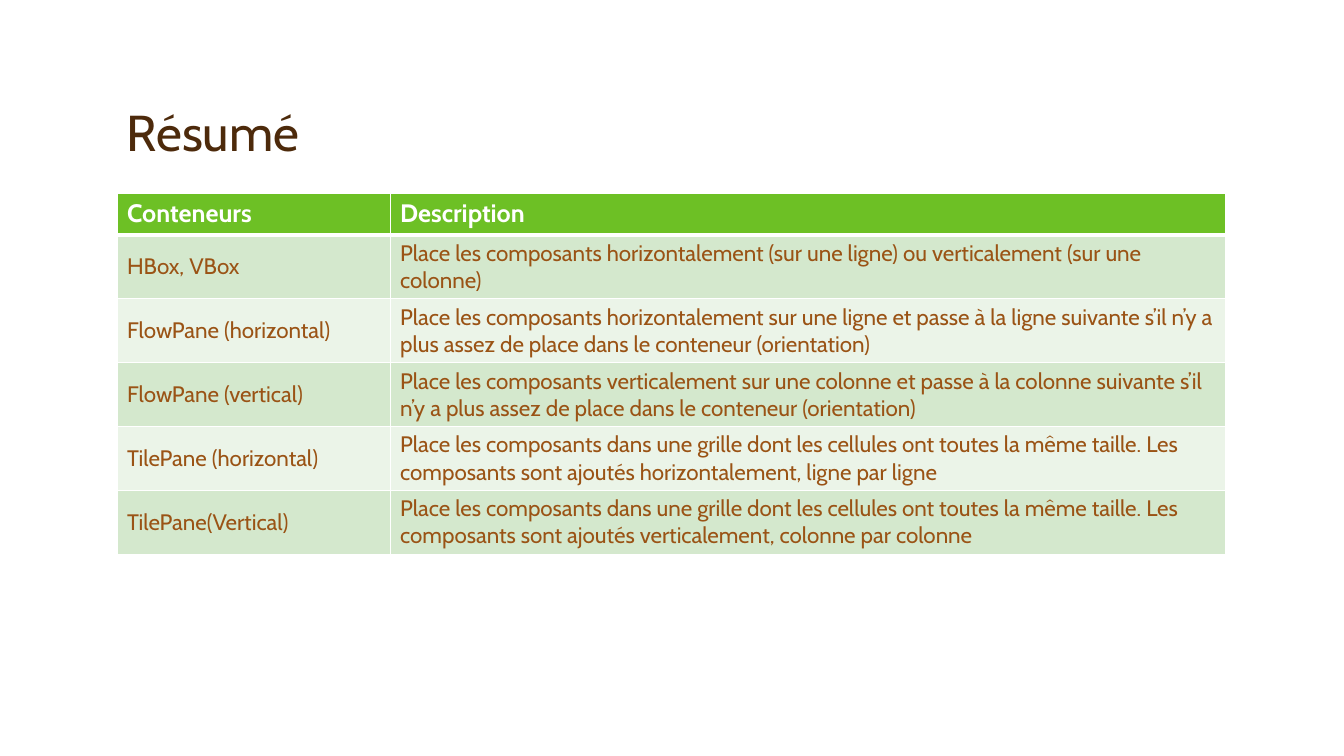
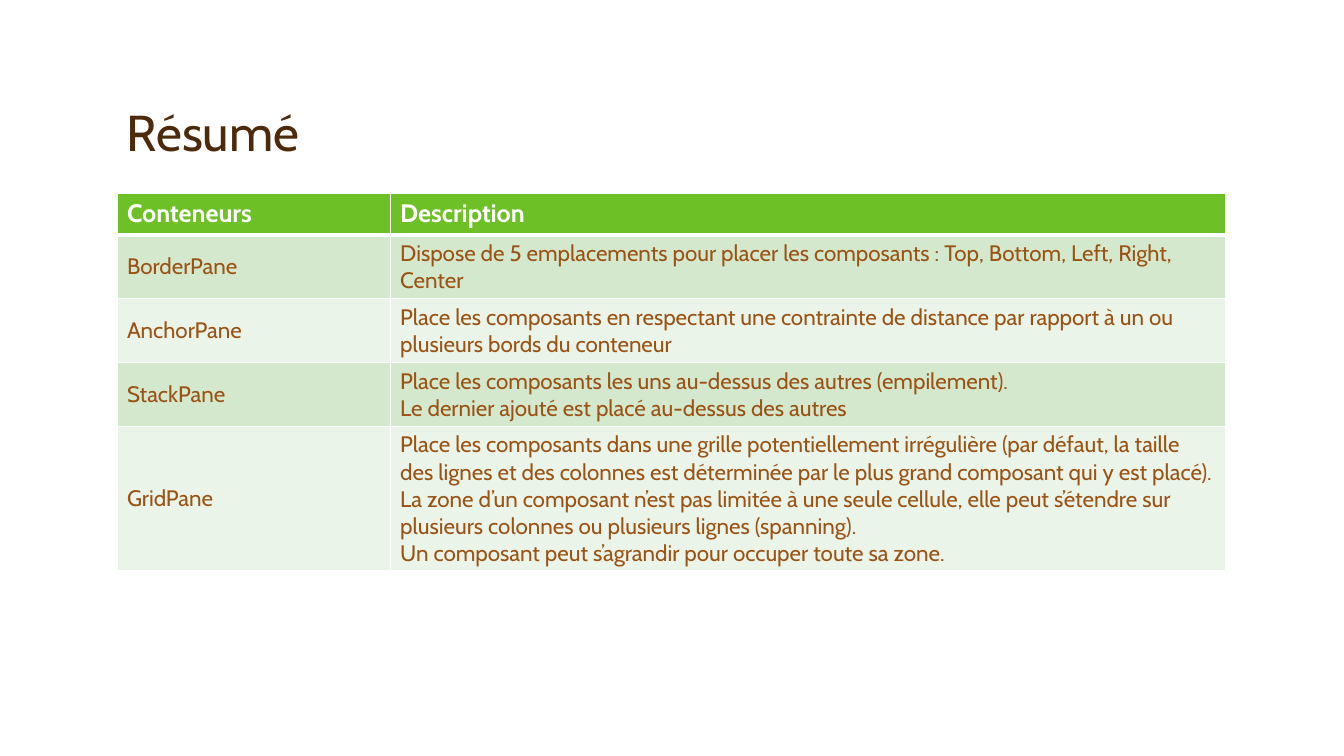
import dataclasses

import pptx
import pptx.dml.color
import pptx.enum.text
import pptx.oxml
import pptx.oxml.ns
import pptx.util

Inches = pptx.util.Inches
ANCHOR = pptx.enum.text.MSO_ANCHOR


@dataclasses.dataclass(frozen=True)
class Theme:
    font: str = "Cabin"
    title_size: int = 36
    header_size: int = 18
    body_size: int = 16
    title_color: str = "4D2A0B"
    body_color: str = "9A5315"
    white: str = "FFFFFF"
    header_fill: str = "6DC025"
    band_fills: tuple = ("D4E8CD", "EBF4E8")
    rule: int = 1
    header_rule: int = 3


THEME = Theme()
TITLE_BOX = (1.16, 0.33, 11, 1.33)
TABLE_BOX = (1.16, 1.92, 11)
COLUMN_WIDTHS = (2.71, 8.29)
ROW_HEIGHT = 0.41

HEADER = ("Conteneurs", "Description")
SUMMARIES = [
    [
        ("HBox, VBox",
         "Place les composants horizontalement (sur une ligne) ou verticalement (sur une colonne)"),
        ("FlowPane (horizontal)",
         "Place les composants horizontalement sur une ligne et passe à la ligne suivante "
         "s’il n’y a plus assez de place dans le conteneur (orientation)"),
        ("FlowPane (vertical)",
         "Place les composants verticalement sur une colonne et passe à la colonne suivante "
         "s’il n’y a plus assez de place dans le conteneur (orientation)"),
        ("TilePane (horizontal)",
         "Place les composants dans une grille dont les cellules ont toutes la même taille. "
         "Les composants sont ajoutés horizontalement, ligne par ligne"),
        ("TilePane(Vertical)",
         "Place les composants dans une grille dont les cellules ont toutes la même taille. "
         "Les composants sont ajoutés verticalement, colonne par colonne"),
    ],
    [
        ("BorderPane",
         "Dispose de 5 emplacements pour placer les composants : Top, Bottom, Left, Right, Center"),
        ("AnchorPane",
         "Place les composants en respectant une contrainte de distance par rapport à un ou "
         "plusieurs bords du conteneur"),
        ("StackPane",
         "Place les composants les uns au-dessus des autres (empilement).\n"
         "Le dernier ajouté est placé au-dessus des autres"),
        ("GridPane",
         "Place les composants dans une grille potentiellement irrégulière (par défaut, la taille "
         "des lignes et des colonnes est déterminée par le plus grand composant qui y est placé).\n"
         "La zone d’un composant n’est pas limitée à une seule cellule, elle peut s’étendre sur "
         "plusieurs colonnes ou plusieurs lignes (spanning).\n"
         "Un composant peut s’agrandir pour occuper toute sa zone."),
    ],
]


def rgb(color):
    return pptx.dml.color.RGBColor.from_string(color)


def write(frame, text, size, color, bold=False, line_spacing=None):
    """Fill a text frame, one paragraph per line of text."""
    frame.text = text
    for paragraph in frame.paragraphs:
        paragraph.line_spacing = line_spacing
        for run in paragraph.runs:
            run.font.name = THEME.font
            run.font.size = pptx.util.Pt(size)
            run.font.bold = bold
            run.font.color.rgb = rgb(color)


def set_borders(cell, top, bottom):
    """Draw white cell borders; must precede the fill in the cell's XML."""
    properties = cell._tc.get_or_add_tcPr()
    widths = {"lnL": THEME.rule, "lnR": THEME.rule, "lnT": top, "lnB": bottom}
    for side, width in widths.items():
        properties.append(pptx.oxml.parse_xml(
            f'<a:{side} {pptx.oxml.ns.nsdecls("a")} w="{pptx.util.Pt(width)}">'
            f'<a:solidFill><a:srgbClr val="{THEME.white}"/></a:solidFill></a:{side}>'))


def add_title(slide, text, box):
    frame = slide.shapes.add_textbox(*map(Inches, box)).text_frame
    frame.word_wrap = True
    frame.vertical_anchor = ANCHOR.BOTTOM
    write(frame, text, size=THEME.title_size, color=THEME.title_color, line_spacing=0.9)


def format_cell(cell, text, row):
    is_header = row == 0
    set_borders(cell,
                top=THEME.header_rule if row == 1 else THEME.rule,
                bottom=THEME.header_rule if is_header else THEME.rule)
    cell.fill.solid()
    if is_header:
        cell.fill.fore_color.rgb = rgb(THEME.header_fill)
        write(cell.text_frame, text, size=THEME.header_size, color=THEME.white, bold=True)
    else:
        cell.fill.fore_color.rgb = rgb(THEME.band_fills[(row - 1) % 2])
        cell.vertical_anchor = ANCHOR.MIDDLE
        write(cell.text_frame, text, size=THEME.body_size, color=THEME.body_color)


def add_container_table(slide, containers, box):
    """Add the table; its rows grow with their text."""
    rows = [HEADER, *containers]
    left, top, width = map(Inches, box)
    table = slide.shapes.add_table(len(rows), len(HEADER), left, top, width,
                                   Inches(ROW_HEIGHT * len(rows))).table
    for column, column_width in zip(table.columns, COLUMN_WIDTHS):
        column.width = Inches(column_width)
    for r, texts in enumerate(rows):
        table.rows[r].height = Inches(ROW_HEIGHT)
        for c, text in enumerate(texts):
            format_cell(table.cell(r, c), text, r)


def add_summary_slide(deck, containers):
    slide = deck.slides.add_slide(deck.slide_layouts[6])
    add_title(slide, "Résumé", TITLE_BOX)
    add_container_table(slide, containers, TABLE_BOX)


def main():
    deck = pptx.Presentation()
    deck.slide_width, deck.slide_height = Inches(13.33), Inches(7.5)
    for containers in SUMMARIES:
        add_summary_slide(deck, containers)
    deck.save("out.pptx")


if __name__ == "__main__":
    main()
